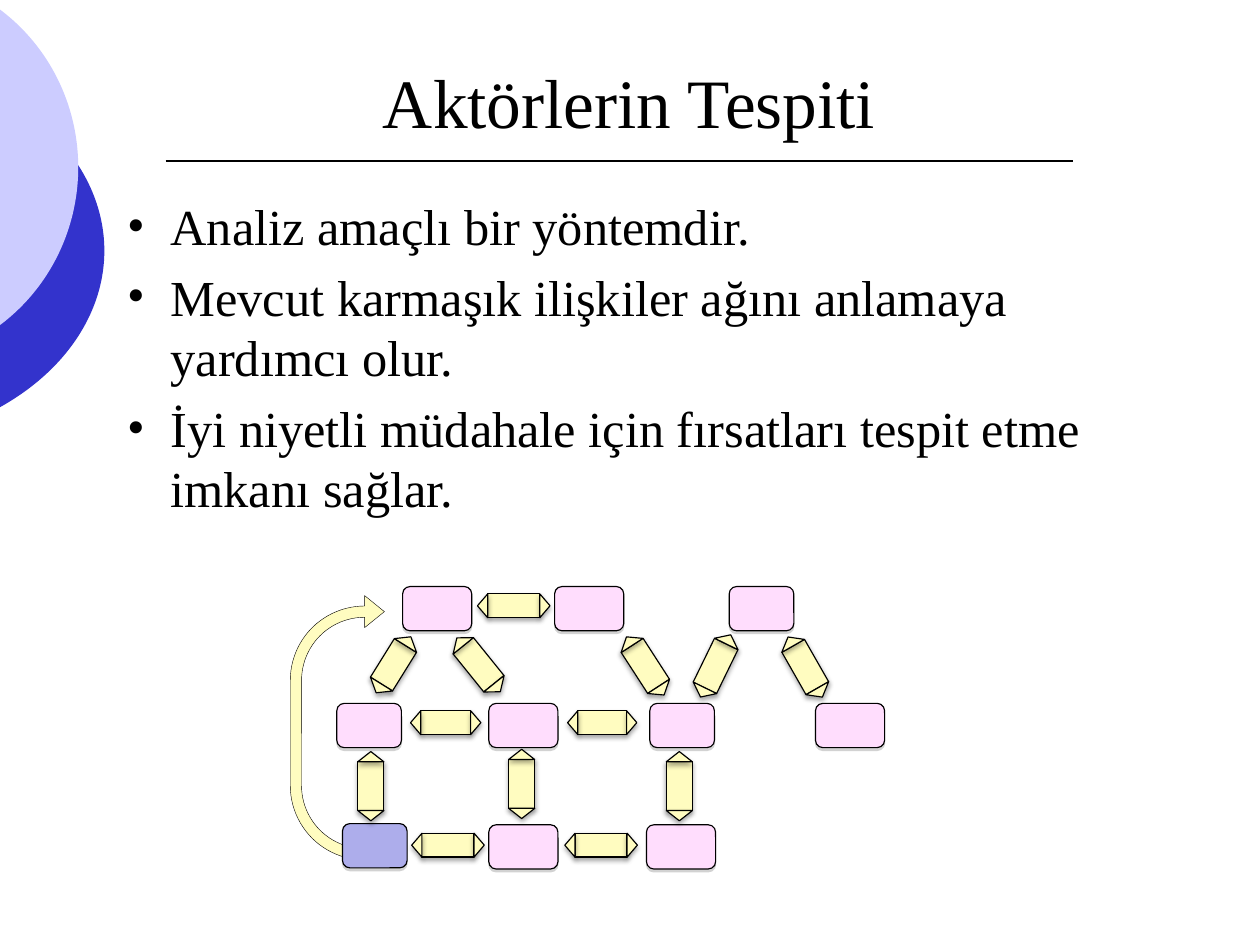
import math

from lxml import etree
from pptx import Presentation
from pptx.dml.color import RGBColor
from pptx.enum import shapes, text
from pptx.oxml import ns
from pptx.util import Inches, Pt

FONT = "Times New Roman"
BLACK, PINK, BLUE, YELLOW = "000000", "FFDDFD", "ADADEB", "FFFCC0"
BOX_HEIGHT = 0.39
TIP_LENGTH = 0.09
BULLET_INDENT = 3 / 8

BULLETS = [
    "Analiz amaçlı bir yöntemdir.",
    "Mevcut karmaşık ilişkiler ağını anlamaya yardımcı olur.",
    "İyi niyetli müdahale için fırsatları tespit etme imkanı sağlar.",
]

# left, top, width, fill
ACTORS = [
    (3.55, 5.17, 0.61, PINK), (4.89, 5.17, 0.61, PINK), (6.43, 5.17, 0.57, PINK),
    (2.97, 6.2, 0.57, PINK), (4.31, 6.2, 0.61, PINK), (5.73, 6.2, 0.57, PINK),
    (7.19, 6.2, 0.61, PINK),
    (3.02, 7.26, 0.57, BLUE), (4.31, 7.27, 0.61, PINK), (5.7, 7.27, 0.61, PINK),
]

# centre x, centre y, shaft length, thickness, rotation
RELATIONS = [
    (4.53, 5.34, 0.46, 0.21, 0),
    (3.47, 5.86, 0.4, 0.23, 301.9), (4.22, 5.86, 0.43, 0.23, 51.1),
    (5.69, 5.87, 0.43, 0.23, 57.1), (6.31, 5.87, 0.43, 0.23, 296),
    (7.1, 5.88, 0.43, 0.23, 60.3),
    (3.93, 6.37, 0.44, 0.21, 0), (5.31, 6.37, 0.43, 0.21, 0),
    (3.27, 6.93, 0.43, 0.23, 90), (4.6, 6.91, 0.43, 0.23, 90),
    (5.99, 6.93, 0.43, 0.23, 90),
    (3.95, 7.45, 0.46, 0.21, 0), (5.3, 7.45, 0.46, 0.21, 0),
]


def color(value):
    return RGBColor.from_string(value)


def add_child(parent, tag, **attributes):
    child = etree.SubElement(parent, ns.qn(tag))
    for name, value in attributes.items():
        child.set(name, str(value))
    return child


def add_effects(shape):
    return add_child(shape._element.spPr, "a:effectLst")


def add_shadow(shape, shade, blur):
    shadow = add_child(add_effects(shape), "a:outerShdw", blurRad=Pt(blur),
                       dist=Pt(1.8), dir=90 * 60000, algn="ctr", rotWithShape=0)
    add_child(add_child(shadow, "a:srgbClr", val=shade), "a:alpha", val=35000)


def add_filled(slide, kind, left, top, width, height, fill):
    shape = slide.shapes.add_shape(kind, *map(Inches, (left, top, width, height)))
    shape.fill.solid()
    shape.fill.fore_color.rgb = color(fill)
    return shape


def add_disc(slide, left, top, width, height, fill):
    disc = add_filled(slide, shapes.MSO_SHAPE.OVAL, left, top, width, height, fill)
    disc.line.fill.background()
    disc.shadow.inherit = False


def add_rule(slide, left, right, y):
    rule = slide.shapes.add_connector(shapes.MSO_CONNECTOR.STRAIGHT, Inches(left),
                                      Inches(y), Inches(right), Inches(y))
    rule.line.color.rgb = color(BLACK)
    rule.line.width = Pt(1)
    add_effects(rule)


def add_textbox(slide, left, top, width, height, anchor):
    box = slide.shapes.add_textbox(*map(Inches, (left, top, width, height)))
    frame = box.text_frame
    frame.word_wrap = True
    frame.vertical_anchor = anchor
    return frame


def style_paragraph(paragraph, size):
    paragraph.font.name = FONT
    paragraph.font.size = Pt(size)
    paragraph.font.color.rgb = color(BLACK)


def add_title(slide, title):
    frame = add_textbox(slide, 0.83, 0.19, 9.44, 1.39, text.MSO_ANCHOR.MIDDLE)
    paragraph = frame.paragraphs[0]
    paragraph.text = title
    paragraph.alignment = text.PP_ALIGN.CENTER
    style_paragraph(paragraph, 44)


def add_bullets(slide, items):
    frame = add_textbox(slide, 1.03, 1.67, 9.19, 3.17, text.MSO_ANCHOR.TOP)
    for index, item in enumerate(items):
        paragraph = frame.add_paragraph() if index else frame.paragraphs[0]
        paragraph.text = item
        if index:
            paragraph.space_before = Pt(6.4)
        properties = paragraph._p.get_or_add_pPr()
        properties.set("marL", str(Inches(BULLET_INDENT)))
        properties.set("indent", str(Inches(-BULLET_INDENT)))
        add_child(properties, "a:buFont", typeface=FONT)
        add_child(properties, "a:buChar", char="•")
        style_paragraph(paragraph, 32)


def add_outlined(slide, kind, left, top, width, height, fill, line=0.75, rotation=0):
    shape = add_filled(slide, kind, left, top, width, height, fill)
    shape.rotation = rotation
    shape.line.color.rgb = color(BLACK)
    shape.line.width = Pt(line)
    return shape


def add_actor(slide, left, top, width, fill):
    actor = add_outlined(slide, shapes.MSO_SHAPE.ROUNDED_RECTANGLE,
                         left, top, width, BOX_HEIGHT, fill)
    add_shadow(actor, "808080", 0)


def add_relation(slide, x, y, length, thickness, rotation):
    """Draw a two-headed arrow: a shaft with a pointed tip at each end."""
    angle = math.radians(rotation)
    reach = (length + TIP_LENGTH) / 2
    parts = [
        (shapes.MSO_SHAPE.RECTANGLE, 0, length, rotation),
        (shapes.MSO_SHAPE.PENTAGON, reach, TIP_LENGTH, rotation),
        (shapes.MSO_SHAPE.PENTAGON, -reach, TIP_LENGTH, rotation + 180),
    ]
    for kind, offset, width, turn in parts:
        left = x + offset * math.cos(angle) - width / 2
        top = y + offset * math.sin(angle) - thickness / 2
        part = add_outlined(slide, kind, left, top, width, thickness, YELLOW,
                            rotation=turn % 360)
        if offset:
            part.adjustments[0] = 1
        add_shadow(part, BLACK, 3.1)


def add_return_arrow(slide):
    arrow = add_outlined(slide, shapes.MSO_SHAPE.U_TURN_ARROW, 1.81, 6, 2.33, 0.83,
                         YELLOW, line=0.25, rotation=270)
    for index, value in enumerate((0.12, 0.17, 0.21, 0.79, 1)):
        arrow.adjustments[index] = value
    arrow.shadow.inherit = False


def main():
    presentation = Presentation()
    presentation.slide_width = Inches(11.11)
    presentation.slide_height = Inches(8.33)
    slide = presentation.slides.add_slide(presentation.slide_layouts[6])
    add_disc(slide, -3.58, 0.5, 4.5, 3.42, "3333CC")
    add_disc(slide, -2.69, -0.25, 3.38, 3.45, "CCCCFF")
    add_rule(slide, 1.46, 9.46, 1.42)
    add_title(slide, "Aktörlerin Tespiti")
    add_bullets(slide, BULLETS)
    add_return_arrow(slide)
    for actor in ACTORS:
        add_actor(slide, *actor)
    for relation in RELATIONS:
        add_relation(slide, *relation)
    presentation.save("out.pptx")


if __name__ == "__main__":
    main()
